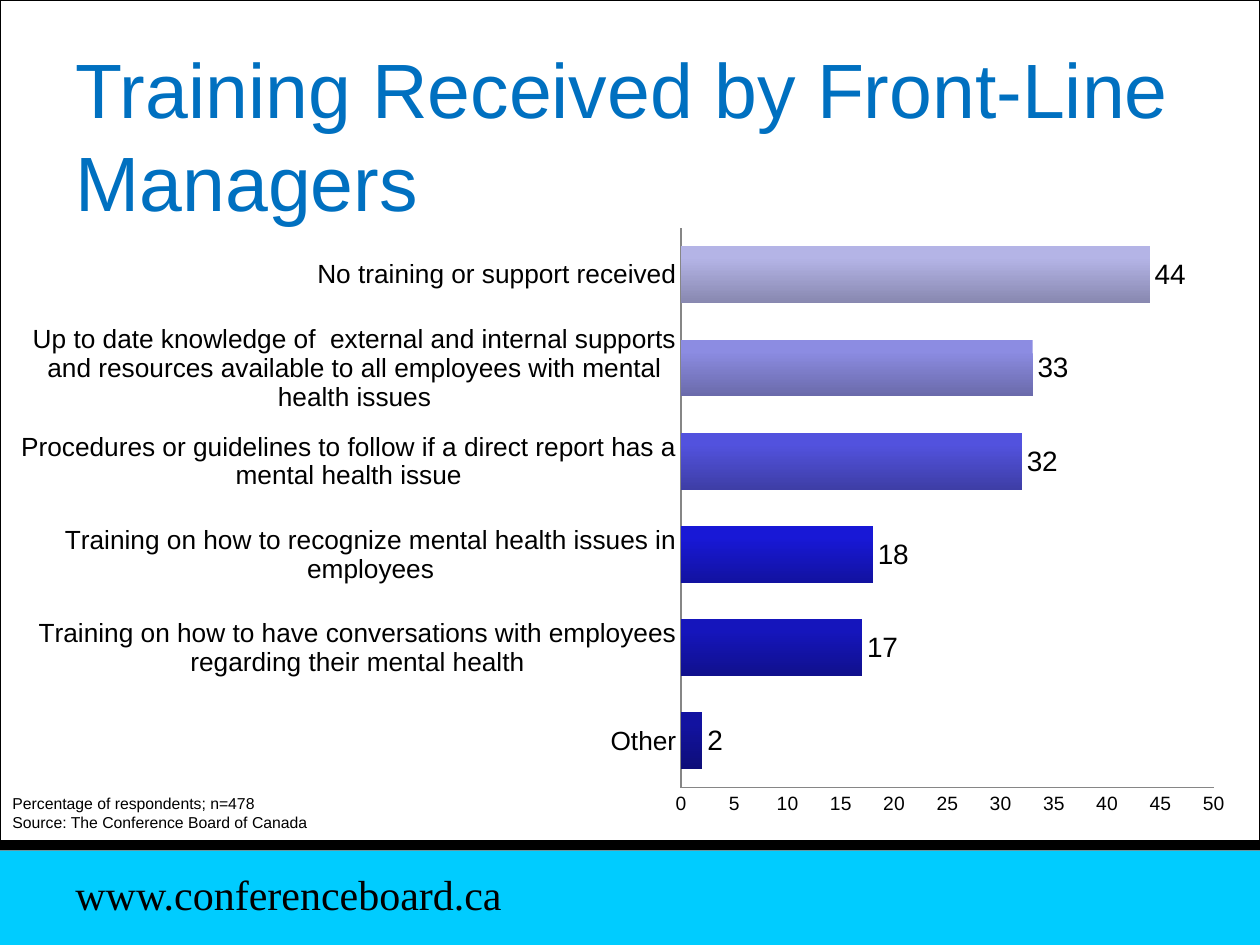
from pptx import Presentation
from pptx.chart.data import CategoryChartData
from pptx.dml.color import RGBColor
from pptx.enum.chart import XL_CHART_TYPE, XL_LABEL_POSITION, XL_TICK_MARK
from pptx.enum.shapes import MSO_SHAPE
from pptx.enum.text import MSO_ANCHOR, PP_ALIGN
from pptx.oxml import parse_xml
from pptx.oxml.ns import nsdecls
from pptx.util import Inches, Pt

BAR = XL_CHART_TYPE.BAR_CLUSTERED
OUTER = XL_LABEL_POSITION.OUTSIDE_END
NO_TICK = XL_TICK_MARK.NONE
RECT = MSO_SHAPE.RECTANGLE
MIDDLE = MSO_ANCHOR.MIDDLE
LEFT = PP_ALIGN.LEFT
COLS, ROWS = 100, 75

ROWS_DATA = [
    ("Other", 2, "1212A0", "0E0E78"),
    ("Training on how to have conversations with employees "
     "regarding their mental health", 17, "1515BC", "10108C"),
    ("Training on how to recognize mental health issues in employees",
     18, "1818D6", "1212A0"),
    ("Procedures or guidelines to follow if a direct report has a "
     "mental health issue", 32, "5252DE", "3E3EA6"),
    ("Up to date knowledge of  external and internal supports and resources "
     "available to all employees with mental health issues",
     33, "8C8CE2", "6A6AAA"),
    ("No training or support received", 44, "B4B4E6", "8888B0"),
]


def tint(code):
    return RGBColor.from_string(code)


class Deck:
    font, ink = "Arial", "000000"

    def __init__(self):
        self.prs = Presentation()
        self.prs.slide_width, self.prs.slide_height = Inches(10), Inches(7.5)
        self.slide = self.prs.slides.add_slide(self.prs.slide_layouts[5])
        self.back("F8F8F8")

    def back(self, code):
        fill = self.slide.background.fill
        fill.solid()
        fill.fore_color.rgb = tint(code)

    def grid(self, x, y, w, h):
        wide, high = self.prs.slide_width, self.prs.slide_height
        return (round(x * wide / COLS), round(y * high / ROWS),
                round(w * wide / COLS), round(h * high / ROWS))

    def style(self, font, size, code=None, name=None):
        font.size, font.name = Pt(size), name or self.font
        font.color.rgb = tint(code or self.ink)

    def run(self, para, text, *look):
        run = para.add_run()
        run.text = text
        self.style(run.font, *look)

    def panel(self, box, code, edge=None):
        shape = self.slide.shapes.add_shape(RECT, *self.grid(*box))
        shape.shadow.inherit = False
        shape.fill.solid()
        shape.fill.fore_color.rgb = tint(code)
        if edge:
            shape.line.color.rgb = tint(edge)
            shape.line.width = Pt(0.75)
        else:
            shape.line.fill.background()

    def text(self, box, lines, *look, space=None):
        frame = self.slide.shapes.add_textbox(*self.grid(*box)).text_frame
        frame.word_wrap = True
        for i, line in enumerate(lines):
            para = frame.add_paragraph() if i else frame.paragraphs[0]
            para.line_spacing = space
            self.run(para, line, *look)

    def title(self, box, text, *look):
        shape = self.slide.shapes.title
        shape.left, shape.top, shape.width, shape.height = self.grid(*box)
        frame = shape.text_frame
        frame.word_wrap, frame.vertical_anchor = True, MIDDLE
        para = frame.paragraphs[0]
        para.alignment = LEFT
        self.run(para, text, *look)
        self.slide.shapes._spTree.append(shape._element)

    def axis(self, axis, size):
        axis.major_tick_mark = axis.minor_tick_mark = NO_TICK
        axis.has_major_gridlines = False
        axis.format.line.color.rgb = tint("868686")
        axis.format.line.width = Pt(0.75)
        self.style(axis.tick_labels.font, size)

    def chart(self, box, rows, inner):
        data = CategoryChartData()
        data.categories = [row[0] for row in rows]
        data.add_series("Series 1", [row[1] for row in rows])
        chart = self.slide.shapes.add_chart(BAR, *self.grid(*box), data).chart
        chart.has_legend = chart.has_title = False
        self.style(chart.font, 18, None, "Times New Roman")
        self.axis(chart.category_axis, 15)
        self.axis(chart.value_axis, 11)
        scale = chart.value_axis
        scale.minimum_scale, scale.maximum_scale = 0, 50
        scale.major_unit = 5
        plot = chart.plots[0]
        plot.gap_width, plot.vary_by_categories = 64, False
        plot.has_data_labels = True
        labels = plot.data_labels
        labels.show_value, labels.position = True, OUTER
        self.style(labels.font, 16)
        for i, row in enumerate(rows):
            fill = plot.series[0].points[i].format.fill
            fill.gradient()
            fill.gradient_angle = 270
            for stop, code, pos in zip(fill.gradient_stops, row[2:], (0.2, 1)):
                stop.color.rgb, stop.position = tint(code), pos
        self.inset(chart, inner)

    def inset(self, chart, inner):
        area = chart._chartSpace.chart.plotArea
        for old in area.findall("{*}layout"):
            area.remove(old)
        parts = "".join(f'<c:{k}Mode val="edge"/>' for k in "xy")
        parts += "".join(f'<c:{k} val="{v}"/>' for k, v in zip("xywh", inner))
        area.insert(0, parse_xml(
            f'<c:layout {nsdecls("c")}><c:manualLayout>'
            f'<c:layoutTarget val="inner"/>{parts}'
            '</c:manualLayout></c:layout>'))


def main():
    deck = Deck()
    deck.panel((0, 0, 100, 66.7), "FFFFFF", "000000")
    deck.panel((0, 67.5, 100, 7.5), "00CCFF")
    deck.panel((0, 66.7, 100, 0.8), "000000")
    deck.text((5, 69.2, 40.8, 4.2), ["www.conferenceboard.ca"],
              24, None, "Times New Roman", space=0.8)
    deck.chart((0, 12.5, 98.3, 56.2), ROWS_DATA, (0.55, 0.1, 0.43, 0.79))
    deck.text((0, 62.5, 25.8, 4),
              ["Percentage of respondents; n=478",
               "Source: The Conference Board of Canada"], 9)
    deck.title((5, 3, 90, 15.3), "Training Received by Front-Line Managers",
               44, "0070C0")
    deck.prs.save("out.pptx")


if __name__ == "__main__":
    main()
